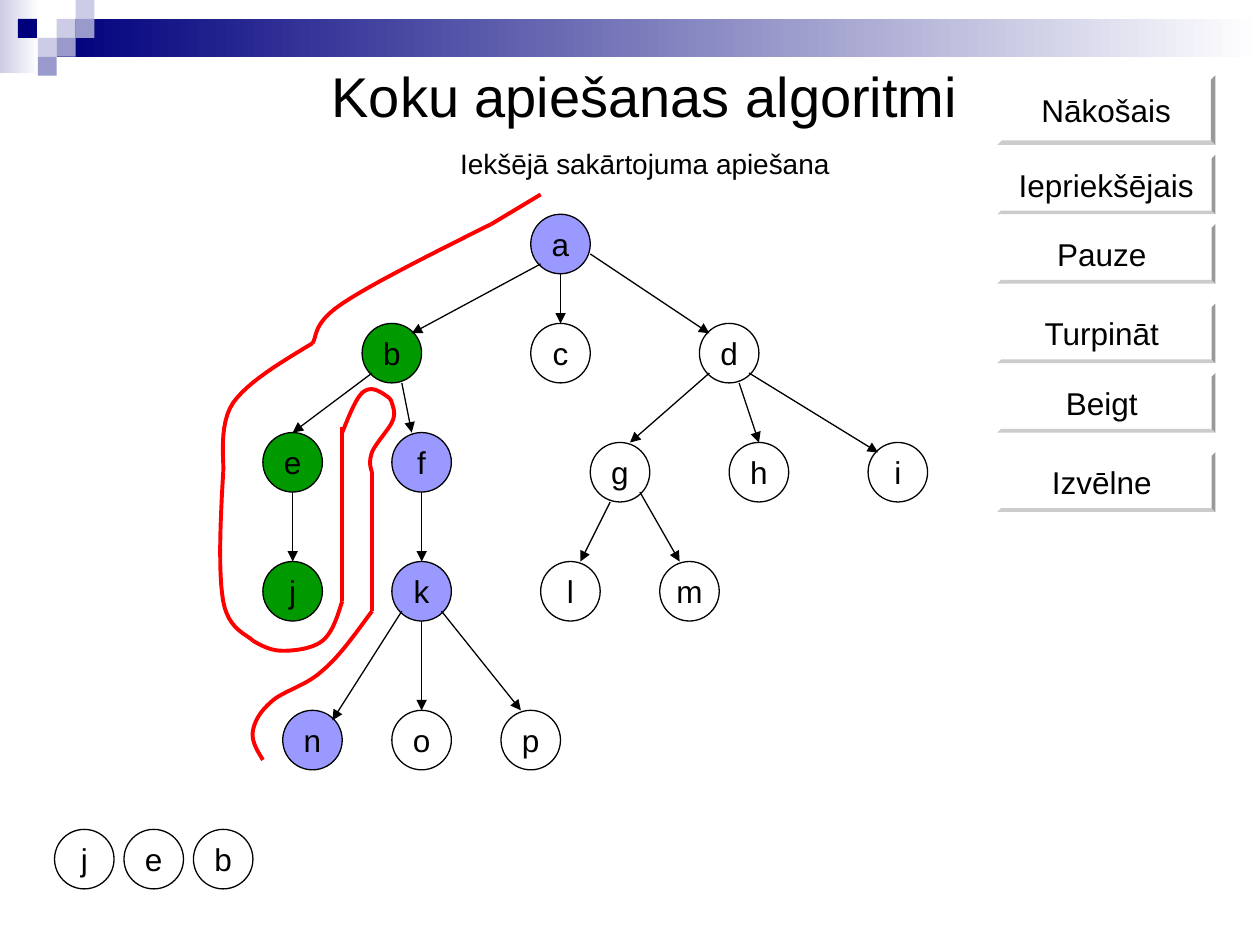
import dataclasses
import typing

import lxml.etree
import pptx
import pptx.dml.color
import pptx.enum.shapes
import pptx.enum.text
import pptx.oxml.ns
import pptx.util

Point = tuple[float, float]
SHAPES = pptx.enum.shapes.MSO_SHAPE
BLACK, WHITE, RED = "000000", "FFFFFF", "FF0000"
VISITED, OPEN = "009900", "9999FF"
NAVY, LAVENDER, VIOLET = "00007D", "CCCCE6", "9999CC"
NODE_SIZE = 6
CURVE_STEPS = 12


@dataclasses.dataclass(frozen=True)
class Grid:
    cell: int
    left: float = 0
    top: float = 0

    def point(self, column: float, row: float) -> tuple[int, int]:
        return round((column + self.left) * self.cell), round((row + self.top) * self.cell)

    def box(self, column: float, row: float, width: float, height: float) -> tuple[int, ...]:
        return (*self.point(column, row), round(width * self.cell), round(height * self.cell))


@dataclasses.dataclass(frozen=True)
class Block:
    column: float
    row: float
    width: float
    height: float
    color: str
    fades: bool = False


@dataclasses.dataclass(frozen=True)
class Node:
    label: str
    column: float
    row: float
    color: str = WHITE


@dataclasses.dataclass(frozen=True)
class Edge:
    parent: str
    child: str
    leave: Point = (3, 6)
    enter: Point = (3, 0)


@dataclasses.dataclass(frozen=True)
class Button:
    label: str
    row: float
    height: float = 6


CORNER_GRID = Grid(pptx.util.Inches(0.15))
TREE_GRID = Grid(pptx.util.Mm(2), 0.5, 0.6)

BLOCKS = [
    Block(0, 0, 2.07, 3.87, LAVENDER, True),
    Block(3, 1, 63.67, 2, NAVY, True),
    Block(3, 1, 1, 1, LAVENDER),
    Block(4, 0, 1, 1, LAVENDER),
    Block(4, 1, 1, 1, VIOLET),
    Block(2, 2, 1, 1, LAVENDER),
    Block(0.95, 1, 1, 1, NAVY),
    Block(3, 2, 1, 1, VIOLET),
    Block(2, 3, 1, 1, VIOLET),
]
BUTTONS = [
    Button("Nākošais", 7, 7),
    Button("Iepriekšējais", 15),
    Button("Pauze ", 22),
    Button("Turpināt ", 30),
    Button("Beigt ", 37),
    Button("Izvēlne ", 45),
]
TREE = [
    Node("a", 53, 21, OPEN),
    Node("b", 36, 32, VISITED), Node("c", 53, 32), Node("d", 70, 32),
    Node("e", 26, 43, VISITED), Node("f", 39, 43, OPEN),
    Node("g", 59, 44), Node("h", 73, 44), Node("i", 87, 44),
    Node("j", 26, 56, VISITED), Node("k", 39, 56, OPEN), Node("l", 54, 56), Node("m", 66, 56),
    Node("n", 28, 71, OPEN), Node("o", 39, 71), Node("p", 50, 71),
]
OUTPUT = [Node(label, 5 + 7 * index, 83) for index, label in enumerate("jeb")]
EDGES = [
    Edge("a", "b", (1, 5), (5, 1)), Edge("a", "c"), Edge("a", "d", (6, 4), (1, 1)),
    Edge("b", "e", (1, 5)), Edge("b", "f", (4, 6), (2, 0)),
    Edge("d", "g", (1, 5), (4, 0)), Edge("d", "h", (4, 6)), Edge("d", "i", (5, 5), (1, 1)),
    Edge("e", "j"), Edge("f", "k"),
    Edge("g", "l", (2, 6), (4, 0)), Edge("g", "m", (5, 5), (2, 0)),
    Edge("k", "n", (1, 5), (5, 1)), Edge("k", "o"), Edge("k", "p", (5, 5), (2, 0)),
]
TRAIL_LINES = [((54, 19), (49, 22)), ((34, 60), (34, 42.4)), ((37, 47), (37, 61))]
TRAIL_CURVES: list[list[Point]] = [
    [(49, 22), (43, 25), (37, 28), (34, 30), (31, 32), (31.5, 33.3), (31, 34)],
    [(31, 34), (27.7, 36), (24.5, 37.9), (23, 40), (21.5, 42.2), (22.1, 45.9), (22, 47)],
    [(22, 47), (21.7, 52.1), (21.5, 57.2), (22, 60), (22.5, 62.9), (24.5, 63.4), (25, 64)],
    [(25, 64), (25.9, 64.5), (26.8, 65), (28, 65), (29.2, 65), (31, 64.8), (32, 64),
     (33, 63.2), (33.5, 61.6), (34, 60)],
    [(34, 43), (34.7, 41.3), (35.3, 39.7), (36, 39), (36.7, 38.4), (37.3, 38.6), (38, 39)],
    [(38, 39), (38.4, 39.3), (38.9, 39.5), (39, 40), (39.2, 40.6), (39.4, 41.2), (39, 42),
     (38.6, 42.8), (37.3, 44.2), (37, 45), (36.7, 45.9), (36.8, 46.4), (37, 47)],
    [(37, 61), (35.3, 63.3), (33.7, 65.6), (32, 67), (30.4, 68.5), (28.2, 69), (27, 70),
     (25.8, 71), (25.2, 72), (25, 73), (24.8, 74.1), (25.4, 75), (26, 76)],
]


def rgb(color: str) -> pptx.dml.color.RGBColor:
    return pptx.dml.color.RGBColor.from_string(color)


def set_line(shape: typing.Any, color: str, width: float) -> None:
    shape.line.color.rgb = rgb(color)
    shape.line.width = pptx.util.Pt(width)


def style_paragraph(paragraph: typing.Any, size: float) -> None:
    paragraph.alignment = pptx.enum.text.PP_ALIGN.CENTER
    for run in paragraph.runs:
        run.font.name = "Arial"
        run.font.size = pptx.util.Pt(size)
        run.font.color.rgb = rgb(BLACK)


def add_filled(slide: typing.Any, kind: typing.Any, box: tuple[int, ...], color: str) -> typing.Any:
    shape = slide.shapes.add_shape(kind, *box)
    shape.shadow.inherit = False
    shape.fill.solid()
    shape.fill.fore_color.rgb = rgb(color)
    shape.line.fill.background()
    return shape


def add_label(shape: typing.Any, label: str) -> None:
    text_frame = shape.text_frame
    text_frame.text = label
    text_frame.word_wrap = False
    text_frame.vertical_anchor = pptx.enum.text.MSO_ANCHOR.MIDDLE
    style_paragraph(text_frame.paragraphs[0], 18)


def add_block(slide: typing.Any, block: Block) -> None:
    box = CORNER_GRID.box(block.column, block.row, block.width, block.height)
    shape = add_filled(slide, SHAPES.RECTANGLE, box, block.color)
    if block.fades:
        shape.fill.gradient()
        shape.fill.gradient_angle = 180
        for stop, color in zip(shape.fill.gradient_stops, (WHITE, block.color)):
            stop.color.rgb = rgb(color)


def add_heading(slide: typing.Any) -> None:
    text_frame = slide.shapes.add_textbox(*TREE_GRID.box(22, 5, 85, 13.2)).text_frame
    text_frame.word_wrap = True
    text_frame.text = "Koku apiešanas algoritmi\nIekšējā sakārtojuma apiešana"
    for paragraph, size in zip(text_frame.paragraphs, (32, 16)):
        style_paragraph(paragraph, size)
    text_frame.paragraphs[1].space_before = pptx.util.Pt(10)


def add_button(slide: typing.Any, button: Button) -> None:
    shape = add_filled(slide, SHAPES.BEVEL, TREE_GRID.box(100, button.row, 22, button.height), WHITE)
    shape.adjustments[0] = 0.0625
    add_label(shape, button.label)


def add_node(slide: typing.Any, node: Node) -> None:
    box = TREE_GRID.box(node.column, node.row, NODE_SIZE, NODE_SIZE)
    shape = add_filled(slide, SHAPES.OVAL, box, node.color)
    set_line(shape, BLACK, 0.75)
    add_label(shape, node.label)


def add_line(slide: typing.Any, start: Point, end: Point, color: str, width: float) -> typing.Any:
    connector = slide.shapes.add_connector(
        pptx.enum.shapes.MSO_CONNECTOR.STRAIGHT, *TREE_GRID.point(*start), *TREE_GRID.point(*end))
    set_line(connector, color, width)
    lxml.etree.SubElement(connector._element.spPr, pptx.oxml.ns.qn("a:effectLst"))
    return connector


def add_edge(slide: typing.Any, edge: Edge, nodes: dict[str, Node]) -> None:
    parent, child = nodes[edge.parent], nodes[edge.child]
    start = (parent.column + edge.leave[0], parent.row + edge.leave[1])
    end = (child.column + edge.enter[0], child.row + edge.enter[1])
    connector = add_line(slide, start, end, BLACK, 0.75)
    outline = connector.line._get_or_add_ln()
    lxml.etree.SubElement(outline, pptx.oxml.ns.qn("a:tailEnd"), type="triangle")


def bezier(controls: list[Point], share: float) -> Point:
    rest = 1 - share
    weights = (rest**3, 3 * rest**2 * share, 3 * rest * share**2, share**3)
    column, row = (sum(w * p[axis] for w, p in zip(weights, controls)) for axis in (0, 1))
    return column, row


def add_curve(slide: typing.Any, controls: list[Point]) -> None:
    points = [
        TREE_GRID.point(*bezier(controls[first:first + 4], step / CURVE_STEPS))
        for first in range(0, len(controls) - 1, 3)
        for step in range(1, CURVE_STEPS + 1)
    ]
    builder = slide.shapes.build_freeform(*TREE_GRID.point(*controls[0]))
    builder.add_line_segments(points, close=False)
    shape = builder.convert_to_shape()
    shape.shadow.inherit = False
    shape.fill.background()
    set_line(shape, RED, 2.25)


def main() -> None:
    presentation = pptx.Presentation()
    presentation.slide_width = pptx.util.Inches(10)
    presentation.slide_height = pptx.util.Inches(7.5)
    slide = presentation.slides.add_slide(presentation.slide_layouts[6])
    for block in BLOCKS:
        add_block(slide, block)
    add_heading(slide)
    for button in BUTTONS:
        add_button(slide, button)
    for node in TREE + OUTPUT:
        add_node(slide, node)
    nodes = {node.label: node for node in TREE}
    for edge in EDGES:
        add_edge(slide, edge, nodes)
    for start, end in TRAIL_LINES:
        add_line(slide, start, end, RED, 2.25)
    for controls in TRAIL_CURVES:
        add_curve(slide, controls)
    presentation.save("out.pptx")


if __name__ == "__main__":
    main()
